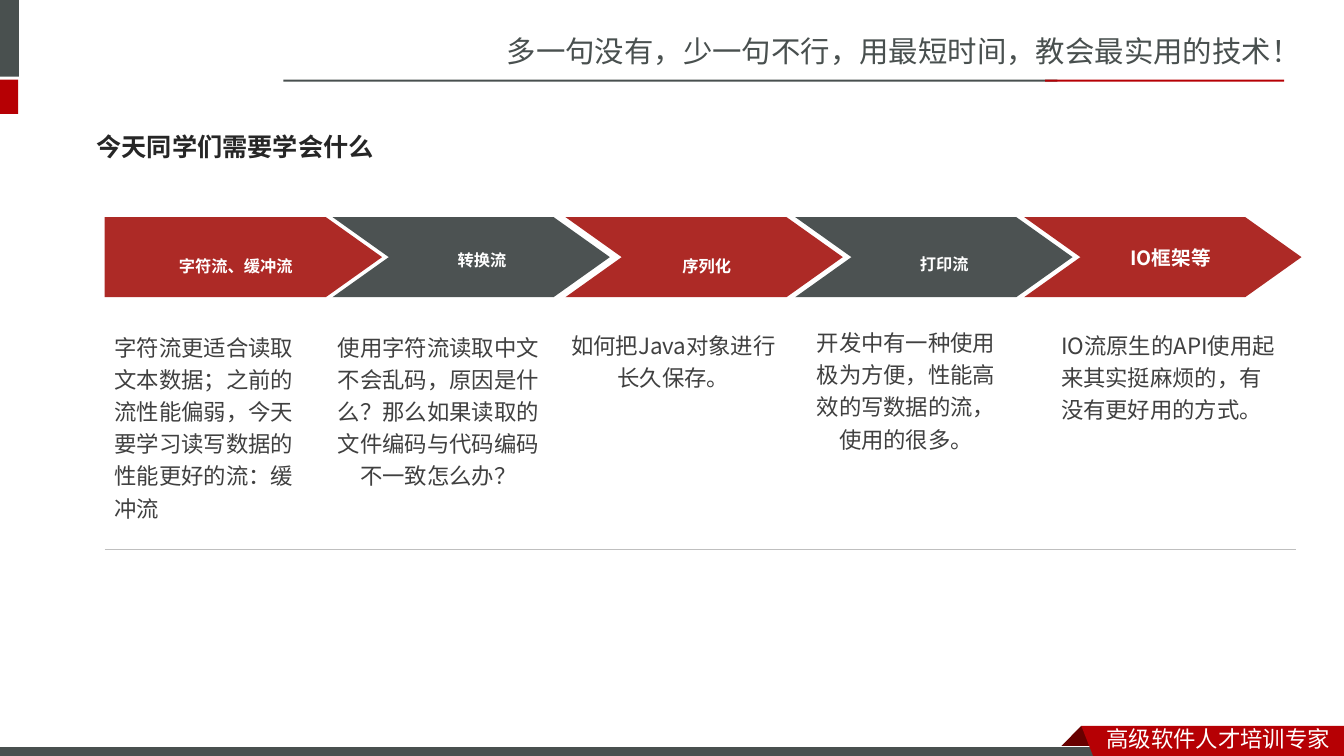
from lxml import etree
from pptx import Presentation, util as u
from pptx.dml.color import RGBColor
from pptx.enum import shapes, text
from pptx.oxml.ns import qn

# Content (lengths in cm)
GREY, RED, DARK_RED = "49504F", "B60004", "680000"
ARROW_RED, ARROW_GREY = "AD2A26", "4C5252"
WHITE, BODY_COLOR = "FFFFFF", "404040"
HEADER_FONT, BODY_FONT, TITLE_FONT = "Noto Sans CJK SC", "Noto Sans CJK JP", "Noto Sans Mono"
LEFT, CENTER = text.PP_ALIGN.LEFT, text.PP_ALIGN.CENTER

TITLE = "今天同学们需要学会什么"
SLOGAN = "多一句没有，少一句不行，用最短时间，教会最实用的技术！"
FOOTER = "高级软件人才培训专家"

# Arrow left, then label and description, each with its box and format
STAGES = [
    dict(left=2.64,
         label=("字符流、缓冲流", (2.62, 6.02, 6.65, 0.91), 20, 1.2),
         body=("字符流更适合读取文本数据；之前的流性能偏弱，今天要学习读写数据的性能更好的流：缓冲流",
               (2.64, 8.15, 5.38, 5.13), LEFT)),
    dict(left=8.38,
         label=("转换流", (9.19, 5.99, 5.92, 0.84), 20, 1.0),
         body=("使用字符流读取中文不会乱码，原因是什么？那么如果读取的文件编码与代码编码不一致怎么办？",
               (8.13, 8.15, 5.84, 4.32), CENTER)),
    dict(left=14.25,
         label=("序列化", (13.41, 6.02, 8.81, 0.91), 20, 1.2),
         body=("如何把Java对象进行长久保存。", (14.05, 8.1, 5.84, 1.85), CENTER)),
    dict(left=20.04,
         label=("打印流", (21.11, 6.1, 5.38, 0.84), 20, 1.0),
         body=("开发中有一种使用极为方便，性能高效的写数据的流，使用的很多。",
               (20.22, 8.03, 5.23, 3.51), CENTER)),
    dict(left=25.81,
         label=("IO框架等", (26.54, 5.97, 5.92, 0.94), 14, 1.2),
         body=("IO流原生的API使用起来其实挺麻烦的，有没有更好用的方式。",
               (26.49, 8.1, 5.97, 2.67), LEFT)),
]
ARROW_TOP, ARROW_WIDTH, ARROW_HEIGHT, ARROW_TIP = 5.47, 6.99, 2.02, 1.42

HEADER_BARS = [
    ((-0.15, 0, 0.63, 1.93), GREY),
    ((-0.15, 2.01, 0.61, 0.86), RED),
    ((7.14, 2.01, 19.51, 0.05), GREY),
    ((26.34, 2.01, 6.02, 0.05), RED),
]
FOOTER_BAR = (-0.03, 18.82, 27.94, 0.3)
FOOTER_FOLD = [(27.25, 18.29), (27.81, 18.85), (27.79, 18.87), (26.72, 18.87), (26.7, 18.85)]
FOOTER_RIBBON = [(27.25, 18.29), (33.87, 18.29), (33.87, 19.15), (27.58, 19.13)]


def color(value):
    return RGBColor.from_string(value)


def lengths(box):
    return [u.Cm(value) for value in box]


def paint(shape, fill, line=None):
    shape.shadow.inherit = False
    shape.fill.solid()
    shape.fill.fore_color.rgb = color(fill)
    if line:
        shape.line.color.rgb = color(line)
        shape.line.width = u.Pt(0.75)
    else:
        shape.line.fill.background()


def add_block(box, fill, kind=shapes.MSO_SHAPE.RECTANGLE, line=None):
    shape = slide.shapes.add_shape(kind, *lengths(box))
    paint(shape, fill, line)
    return shape


def add_outline(points, fill):
    (x, y), *rest = points
    builder = slide.shapes.build_freeform(u.Cm(x), u.Cm(y), scale=1.0)
    builder.add_line_segments([lengths(point) for point in rest], close=True)
    paint(builder.convert_to_shape(), fill)


def write(frame, wording, size, font, ink, align=LEFT, spacing=1.0, bold=False):
    frame.word_wrap = True
    paragraph = frame.paragraphs[0]
    paragraph.alignment = align
    paragraph.line_spacing = spacing
    paragraph.space_before = u.Pt(0)
    run = paragraph.add_run()
    run.text = wording
    run.font.size = u.Pt(size)
    run.font.bold = bold
    run.font.color.rgb = color(ink)
    run.font.name = font
    properties = run.font._element
    etree.SubElement(properties, qn("a:ea")).set("typeface", font)
    return properties


def add_text(box, *args, middle=False, **kwargs):
    frame = slide.shapes.add_textbox(*lengths(box)).text_frame
    frame.auto_size = text.MSO_AUTO_SIZE.SHAPE_TO_FIT_TEXT
    frame.vertical_anchor = text.MSO_ANCHOR.MIDDLE if middle else text.MSO_ANCHOR.TOP
    return write(frame, *args, **kwargs)


presentation = Presentation()
presentation.slide_width, presentation.slide_height = u.Cm(33.87), u.Cm(19.05)
slide = presentation.slides.add_slide(presentation.slide_layouts[5])

# Title
title = slide.shapes.title
title.left, title.top, title.width, title.height = lengths((2.18, 2.97, 10.36, 1.45))
title.text_frame.vertical_anchor = text.MSO_ANCHOR.MIDDLE
write(title.text_frame, TITLE, 18, TITLE_FONT, "262626", bold=True)

# Header and footer
add_text((12.52, 0.71, 21.36, 1.19), SLOGAN, 21, HEADER_FONT, GREY)
for box, fill in HEADER_BARS:
    add_block(box, fill)
add_outline(FOOTER_FOLD, DARK_RED)
add_block(FOOTER_BAR, GREY, line=WHITE)
add_outline(FOOTER_RIBBON, RED)
add_text((27.64, 18.16, 6.22, 0.94), FOOTER, 16, HEADER_FONT, WHITE)

# Arrows: a pentagon first, then chevrons in alternating colours
for index, stage in enumerate(STAGES):
    kind = shapes.MSO_SHAPE.CHEVRON if index else shapes.MSO_SHAPE.PENTAGON
    arrow = add_block((stage["left"], ARROW_TOP, ARROW_WIDTH, ARROW_HEIGHT),
                      ARROW_GREY if index % 2 else ARROW_RED, kind)
    arrow.adjustments[0] = ARROW_TIP / ARROW_HEIGHT

# Labels and descriptions
for stage in STAGES:
    wording, box, size, spacing = stage["label"]
    properties = add_text(box, wording, size, BODY_FONT, WHITE, align=CENTER,
                          spacing=spacing, bold=True, middle=True)
    if size == 20:
        properties.set("baseline", "-3000")
    wording, box, align = stage["body"]
    add_text(box, wording, 16, BODY_FONT, BODY_COLOR, align=align, spacing=1.2)

# Closing rule
rule = slide.shapes.add_connector(shapes.MSO_CONNECTOR.STRAIGHT,
                                  *lengths((2.64, 13.84, 32.66, 13.84)))
rule.line.color.rgb = color("BFBFBF")
rule.line.width = u.Pt(0.25)
etree.SubElement(rule._element.spPr, qn("a:effectLst"))

presentation.save("out.pptx")
